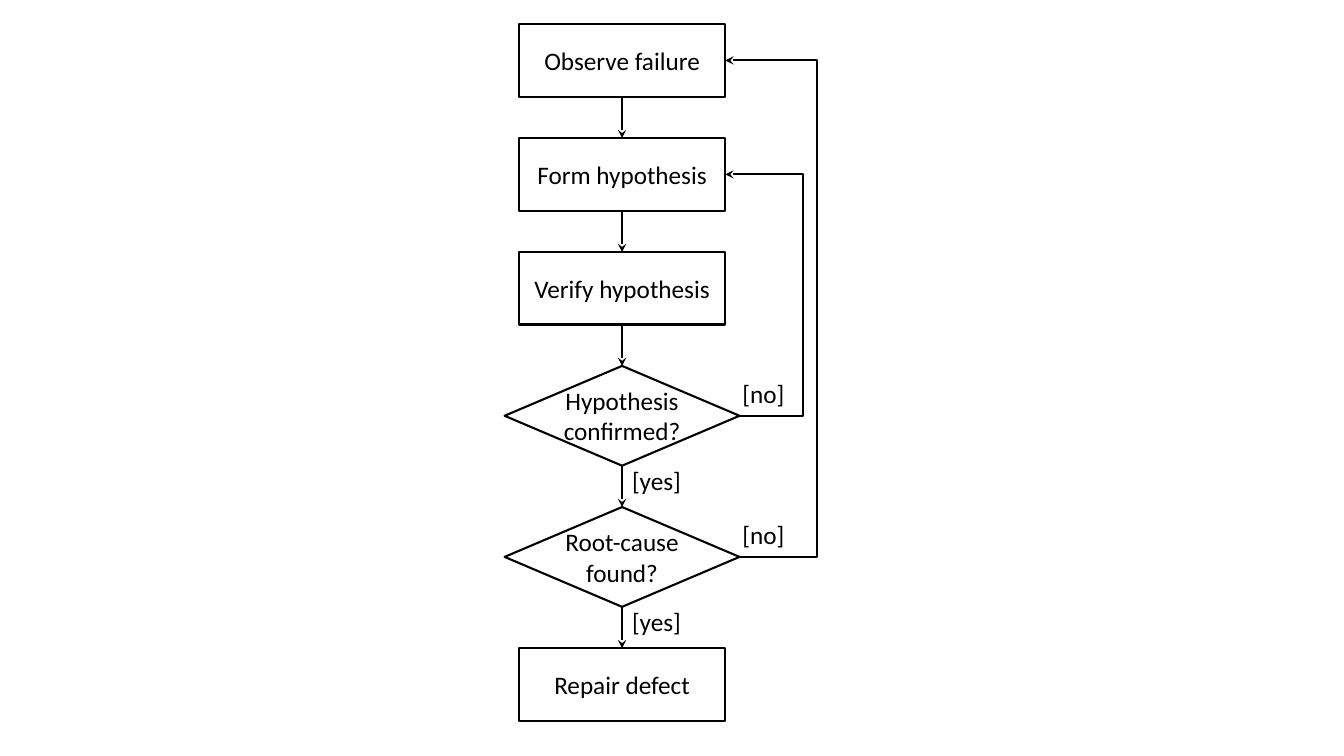
from lxml.etree import SubElement
from pptx import Presentation
from pptx.dml.color import RGBColor
from pptx.enum.shapes import MSO_CONNECTOR as Connector, MSO_SHAPE as Preset
from pptx.enum.text import MSO_ANCHOR as Anchor, MSO_AUTO_SIZE as AutoSize, PP_ALIGN as Align
from pptx.oxml.ns import qn
from pptx.util import Inches, Pt

BLACK = RGBColor(0x00, 0x00, 0x00)
WHITE = RGBColor(0xFF, 0xFF, 0xFF)
FONT = {"name": "Calibri", "size": Pt(18)}
LINE_WIDTH = Pt(1.5)
TOP, RIGHT, BOTTOM = 0, 3, 2  # connection sites

deck = Presentation()
deck.slide_width, deck.slide_height = Inches(13.33), Inches(7.5)
page = deck.slides.add_slide(deck.slide_layouts[6])


def write(shape, text, align, **frame_format):
    frame = shape.text_frame
    for key, value in frame_format.items():
        setattr(frame, key, value)
    para = frame.paragraphs[0]
    para.alignment = align
    span = para.add_run()
    span.text = text
    for key, value in FONT.items():
        setattr(span.font, key, value)
    span.font.color.rgb = BLACK


def connect(kind, source, source_site, target, target_site):
    arrow = page.shapes.add_connector(kind, 0, 0, 0, 0)
    arrow.begin_connect(source, source_site)
    arrow.end_connect(target, target_site)
    arrow.line.color.rgb = BLACK
    arrow.line.width = LINE_WIDTH
    SubElement(arrow.line._get_or_add_ln(), qn("a:tailEnd"), type="stealth")
    SubElement(arrow._element.spPr, qn("a:effectLst"))
    return arrow


# Steps and decisions, stacked on one centre line with equal gaps
CENTER, GAP = 6.17, 0.41
STEP = (Preset.RECTANGLE, 2.05, 0.72, 0.1)
DECISION = (Preset.FLOWCHART_DECISION, 2.33, 0.99, 0)
flow = [
    ("Observe failure", STEP),
    ("Form hypothesis", STEP),
    ("Verify hypothesis", STEP),
    ("Hypothesis confirmed?", DECISION),
    ("Root-cause found?", DECISION),
    ("Repair defect", STEP),
]
nodes = {}
labels = []
top = 0.24
for text, (preset, width, height, inset) in flow:
    node = page.shapes.add_shape(preset, Inches(CENTER - width / 2), Inches(top),
                                 Inches(width), Inches(height))
    node.shadow.inherit = False
    node.fill.solid()
    node.fill.fore_color.rgb = WHITE
    node.line.color.rgb = BLACK
    node.line.width = LINE_WIDTH
    write(node, text, Align.CENTER, word_wrap=True, vertical_anchor=Anchor.MIDDLE,
          margin_left=Inches(inset), margin_right=Inches(inset))
    nodes[text] = node
    if preset == Preset.FLOWCHART_DECISION:
        labels.append(("[yes]", CENTER, top + height - 0.05, 0.69))
        labels.append(("[no]", CENTER + width / 2 - 0.07, top + 0.07, 0.62))
    top += height + GAP

# Downward arrows between neighbours
chain = list(nodes.values())
for upper, lower in zip(chain, chain[1:]):
    connect(Connector.STRAIGHT, upper, BOTTOM, lower, TOP)

# Feedback loops, each running up its own rail on the right
loops = [
    ("Hypothesis confirmed?", "Form hypothesis", 7.96),
    ("Root-cause found?", "Observe failure", 8.1),
]
for decision, step, rail in loops:
    loop = connect(Connector.ELBOW, nodes[decision], RIGHT, nodes[step], RIGHT)
    bend = (loop.begin_x - Inches(rail)) / (loop.begin_x - loop.end_x)
    guides = loop._element.spPr.prstGeom.get_or_add_avLst()
    SubElement(guides, qn("a:gd"), name="adj1", fmla=f"val {round(bend * 100000)}")

# Branch labels
for text, left, label_top, width in labels:
    box = page.shapes.add_textbox(Inches(left), Inches(label_top), Inches(width), Inches(0.4))
    write(box, text, Align.LEFT, word_wrap=False, auto_size=AutoSize.SHAPE_TO_FIT_TEXT)

deck.save("out.pptx")
